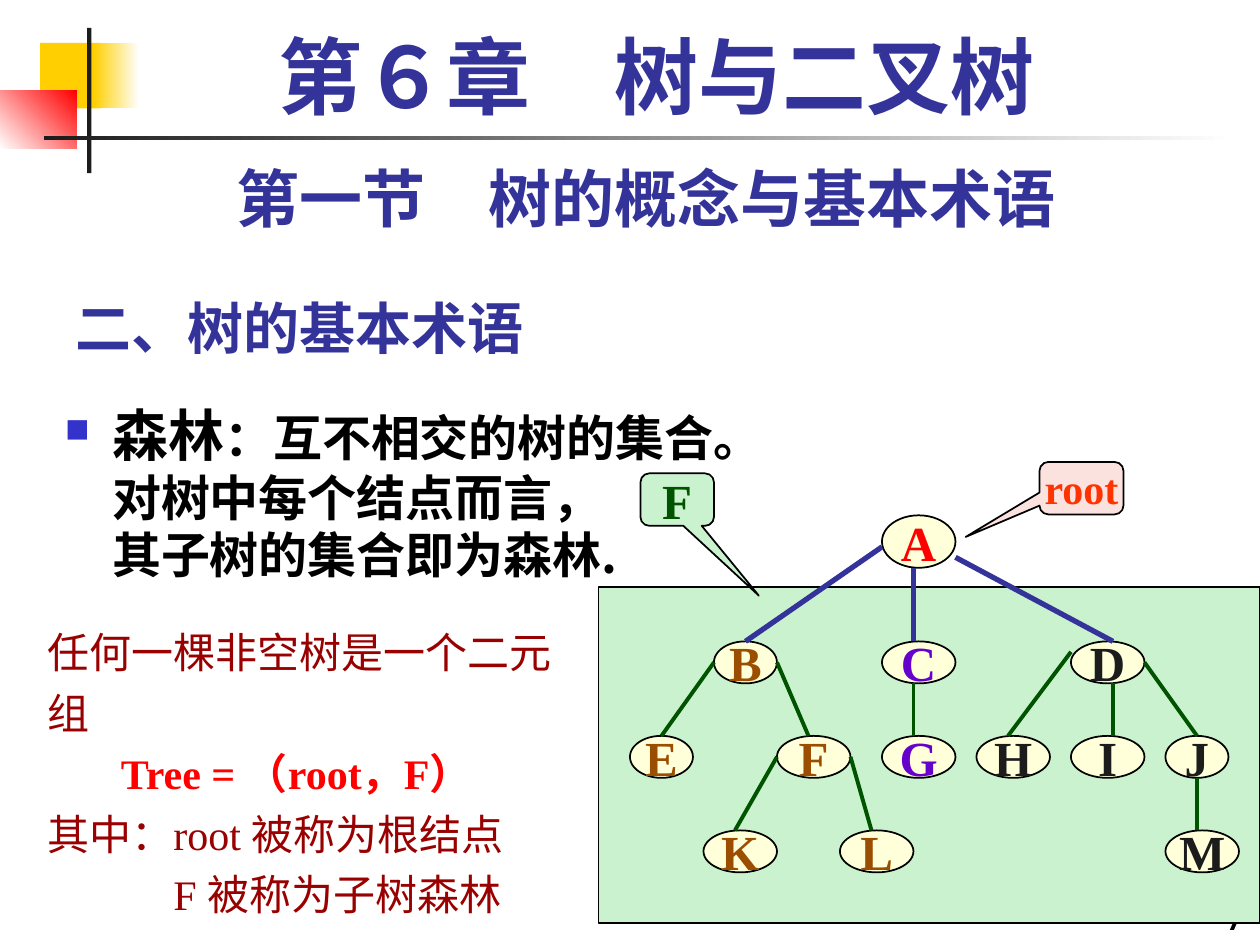
from lxml.etree import SubElement
from pptx import Presentation
from pptx.dml.color import RGBColor
from pptx.enum.shapes import MSO_CONNECTOR, MSO_SHAPE as Preset
from pptx.enum.text import MSO_ANCHOR as Anchor, MSO_AUTO_SIZE, PP_ALIGN as Align
from pptx.oxml.ns import qn
from pptx.util import Pt

COLORS = {
    "black": "000000", "ink": "1C1C1C", "white": "FFFFFF", "gold": "FFCF01",
    "red": "FF0000", "navy": "333399", "bullet": "3333CC", "maroon": "990000",
    "node": "FFFFD9", "mint": "CAF2CE", "green": "005400", "pink": "FBE2DF",
    "orange": "FF3300", "brown": "9C4E00", "violet": "6600CC",
}
CJK, SERIF, SANS = "Noto Sans CJK SC", "Times New Roman", "Cabin"

DECORATION = [
    ((23, 24.5, 34.5, 37.5), ["gold"], 0),
    ((53.5, 24.5, 26, 37.5), ["gold", "white"], 0),
    ((0, 52, 44, 33), ["white", "red"], 45),
    ((49.8, 16, 2.4, 83), ["ink"], 0),
    ((25, 77.8, 680.5, 2.4), ["ink", "white"], 0),
]
HEADING = "二、树的基本术语"
CHAPTER = "第６章　树与二叉树"
SECTION = "第一节　树的概念与基本术语"
PAGE_NUMBER = "7"
FOREST_LINES = [
    (42, [("森林", 32), ("：互不相交的树的集合。", 28)]),
    (33, [("对树中每个结点而言，", 28)]),
    (33, [("其子树的集合即为森林.", 28)]),
]
DEFINITION_LINES = [
    (0, "任何一棵非空树是一个二元组", "maroon", False),
    (42, "Tree = （root，F）", "red", True),
    (0, "其中：root 被称为根结点", "maroon", False),
    (72, "F 被称为子树森林", "maroon", False),
]
FOREST_BOX = (342, 335.5, 378, 192)
LEVEL_TOPS = [294.5, 366.5, 420.5, 474.5]
ROOT_HEIGHT, NODE_HEIGHT = 30, 24
NODES = [
    ("A", 0, 504, 42, "red"),
    ("B", 1, 408, 36, "brown"), ("C", 1, 504, 42, "violet"), ("D", 1, 612, 42, "ink"),
    ("E", 2, 360, 36, "brown"), ("F", 2, 444, 42, "brown"), ("G", 2, 504, 42, "violet"),
    ("H", 2, 558, 42, "ink"), ("I", 2, 612, 42, "ink"), ("J", 2, 666, 36, "ink"),
    ("K", 3, 402, 42, "brown"), ("L", 3, 480, 42, "brown"), ("M", 3, 666, 42, "ink"),
]
BRANCHES = [
    (408, 378.5, 378, 2), (444, 378.5, 462, 2), (522, 390.5, 522, 2),
    (612, 372.5, 576, 2), (636, 390.5, 636, 2), (654, 378.5, 684, 2),
    (444, 432.5, 420, 3), (486, 432.5, 498, 3), (684, 444.5, 684, 3),
    (504, 312.5, 426, 1), (522, 324.5, 522, 1), (546, 318.5, 636, 1),
]
CALLOUTS = [
    ("root", (594, 264, 48, 30), (-1.38, 0.93, 0.17), "pink", "orange", 24),
    ("F", (366, 270.5, 42, 30), (1.11, 1.83, 0.17), "mint", "green", 28),
]


def rgb(color):
    return RGBColor.from_string(COLORS[color])


def add_run(paragraph, text, size, color, bold=True, face=SERIF):
    run = paragraph.add_run()
    run.text = text
    font = run.font
    font.name, font.size, font.bold = face, Pt(size), bold
    font.color.rgb = rgb(color)
    SubElement(font._element, qn("a:ea"), typeface=CJK)


def add_panel(preset, box, fill):
    panel = slide.shapes.add_shape(preset, *map(Pt, box))
    panel.shadow.inherit = False
    panel.fill.solid()
    panel.fill.fore_color.rgb = rgb(fill)
    panel.line.color.rgb = rgb("black")
    panel.line.width = Pt(1)
    return panel


def label(panel, text, size, color):
    frame = panel.text_frame
    frame.word_wrap = False
    frame.vertical_anchor = Anchor.MIDDLE
    frame.paragraphs[0].alignment = Align.CENTER
    add_run(frame.paragraphs[0], text, size, color)


def add_text_frame(box, wrap=True):
    frame = slide.shapes.add_textbox(*map(Pt, box)).text_frame
    frame.word_wrap = wrap
    return frame


def add_line_of_text(box, text, size, color, face, align, spacing=None, bold=True):
    paragraph = add_text_frame(box).paragraphs[0]
    paragraph.alignment = align
    if spacing:
        paragraph.line_spacing = Pt(spacing)
    add_run(paragraph, text, size, color, bold, face)


def next_paragraph(frame, index, spacing, margin, indent=0):
    paragraph = frame.add_paragraph() if index else frame.paragraphs[0]
    paragraph.line_spacing = Pt(spacing)
    properties = paragraph._p.get_or_add_pPr()
    properties.set("marL", str(Pt(margin)))
    properties.set("indent", str(Pt(indent)))
    return paragraph


def add_square_bullet(paragraph):
    properties = paragraph._p.get_or_add_pPr()
    color = SubElement(properties, qn("a:buClr"))
    SubElement(color, qn("a:srgbClr"), val=COLORS["bullet"])
    SubElement(properties, qn("a:buSzPct"), val="60000")
    SubElement(properties, qn("a:buChar"), char="■")


def add_branch(start_x, start_y, end_x, level):
    branch = slide.shapes.add_connector(
        MSO_CONNECTOR.STRAIGHT, Pt(start_x), Pt(start_y), Pt(end_x), Pt(LEVEL_TOPS[level]))
    branch.line.color.rgb = rgb("navy" if level == 1 else "green")
    branch.line.width = Pt(3 if level == 1 else 2.25)
    SubElement(branch._element.spPr, qn("a:effectLst"))


deck = Presentation()
deck.slide_width, deck.slide_height = Pt(720), Pt(540)
slide = deck.slides.add_slide(deck.slide_layouts[5])

heading = slide.shapes.title
heading.left, heading.top, heading.width, heading.height = map(Pt, (36, 156, 450, 54))
heading.text_frame.auto_size = MSO_AUTO_SIZE.NONE
heading.text_frame.vertical_anchor = Anchor.BOTTOM
heading.text_frame.paragraphs[0].alignment = Align.LEFT
add_run(heading.text_frame.paragraphs[0], HEADING, 32, "navy", face=CJK)

for box, tones, angle in DECORATION:
    block = add_panel(Preset.RECTANGLE, box, tones[0])
    block.line.fill.background()
    if len(tones) > 1:
        block.fill.gradient()
        block.fill.gradient_angle = angle
        for stop, tone in zip(block.fill.gradient_stops, tones):
            stop.color.rgb = rgb(tone)

add_line_of_text((672, 504, 48, 42), PAGE_NUMBER, 24, "black", SANS, Align.RIGHT, bold=False)
add_line_of_text((36, 84, 666, 50), SECTION, 36, "navy", SANS, Align.CENTER, 47)
add_line_of_text((48, 12, 654, 60), CHAPTER, 48, "navy", SERIF, Align.CENTER, 56)

forest_text = add_text_frame((30, 222, 690, 318))
for index, (spacing, parts) in enumerate(FOREST_LINES):
    paragraph = next_paragraph(forest_text, index, spacing, 27, 0 if index else -27)
    if index == 0:
        add_square_bullet(paragraph)
    for text, size in parts:
        add_run(paragraph, text, size, "black", face=CJK)

add_panel(Preset.RECTANGLE, FOREST_BOX, "mint")
for name, level, left, width, color in NODES:
    height = NODE_HEIGHT if level else ROOT_HEIGHT
    node = add_panel(Preset.OVAL, (left, LEVEL_TOPS[level], width, height), "node")
    label(node, name, 28, color)
for text, box, adjustments, fill, color, size in CALLOUTS:
    callout = add_panel(Preset.ROUNDED_RECTANGULAR_CALLOUT, box, fill)
    for index, value in enumerate(adjustments):
        callout.adjustments[index] = value
    label(callout, text, size, color)
for branch in BRANCHES:
    add_branch(*branch)

definition = add_text_frame((20, 349, 326, 146), wrap=False)
for index, (margin, text, color, bold) in enumerate(DEFINITION_LINES):
    paragraph = next_paragraph(definition, index, 34.5, margin)
    add_run(paragraph, text, 24, color, bold)

deck.save("out.pptx")
